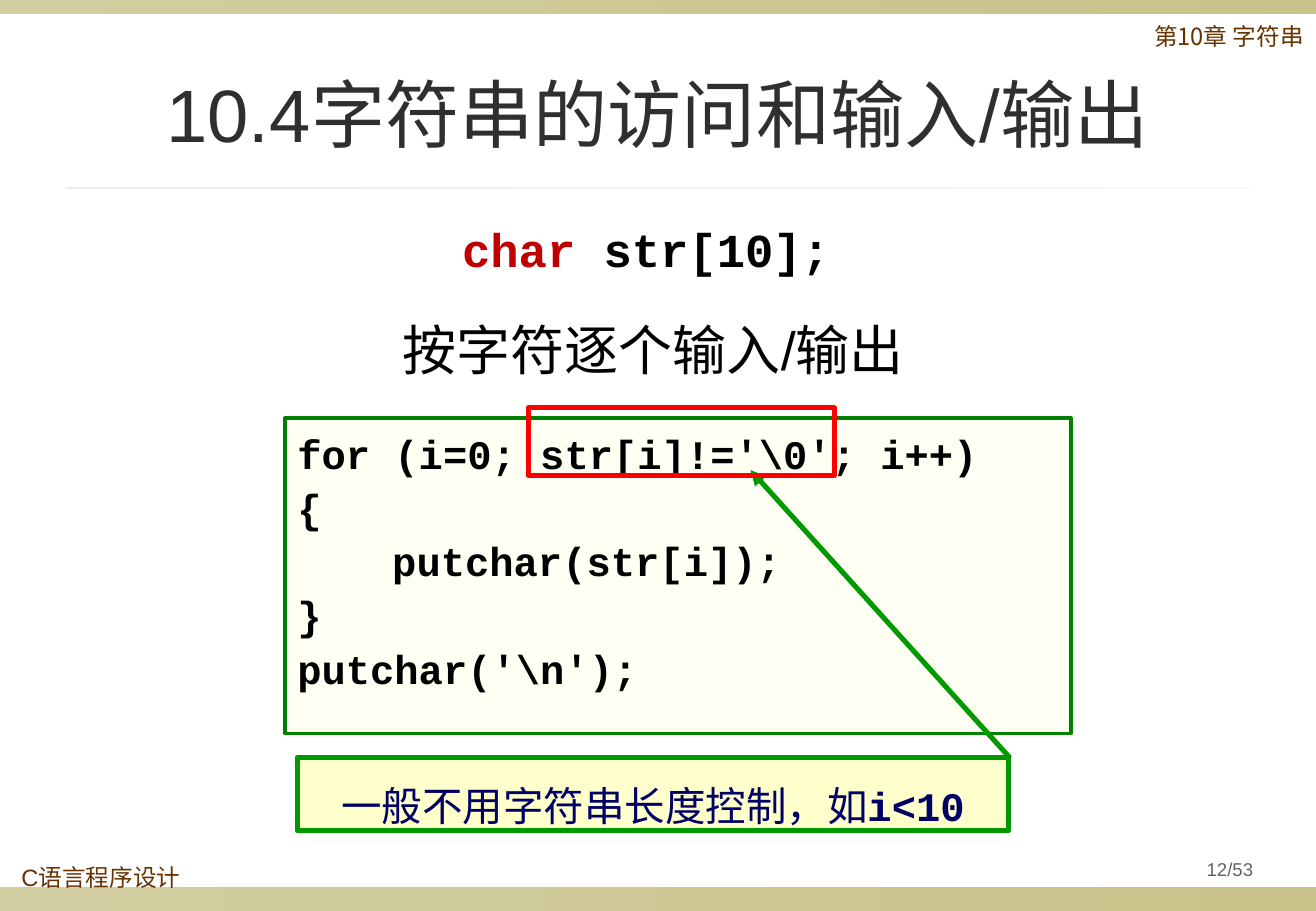
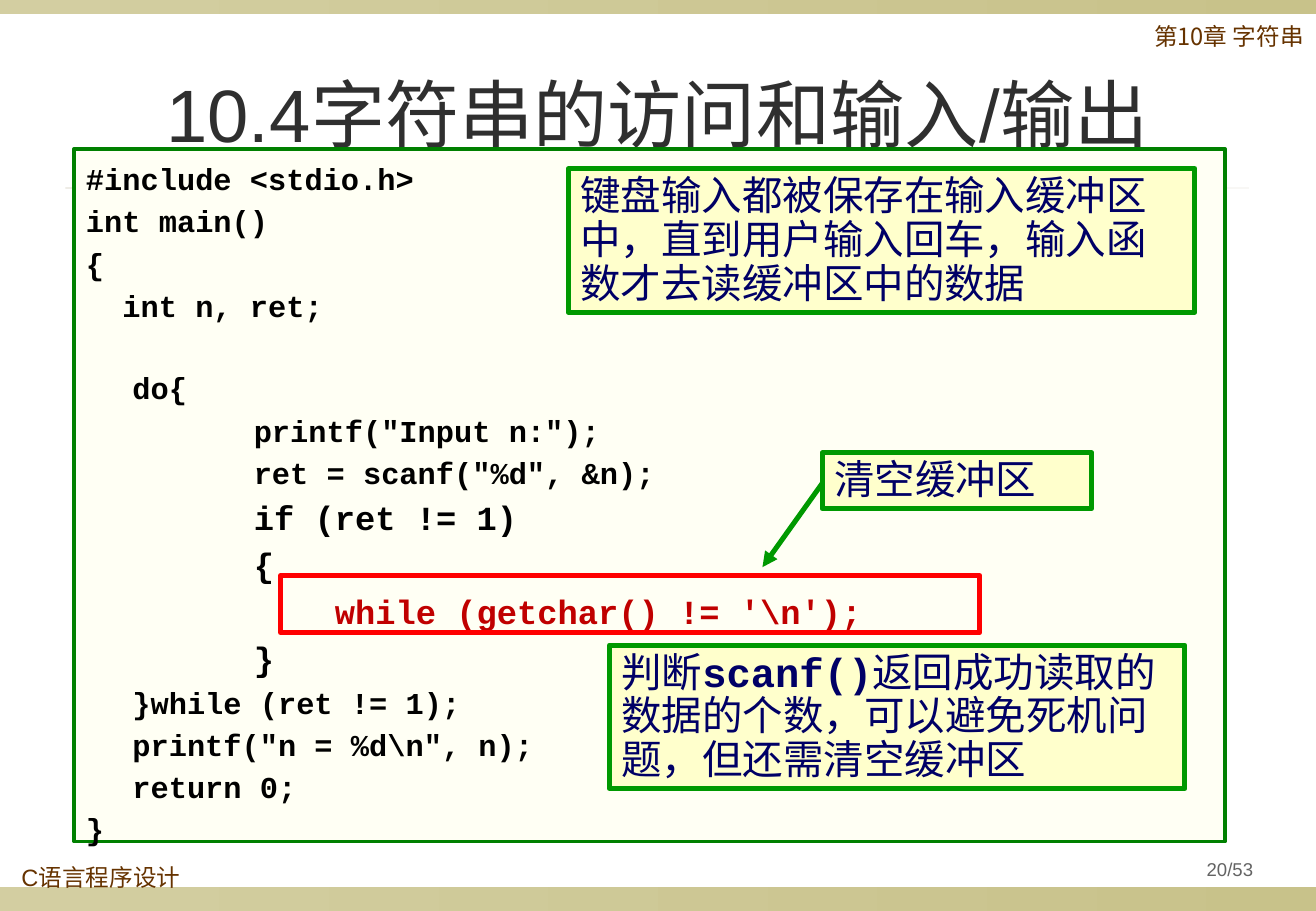
from dataclasses import dataclass
from typing import NamedTuple

from lxml.etree import SubElement
from pptx import Presentation
from pptx.dml.color import RGBColor
from pptx.enum.shapes import MSO_CONNECTOR as Connector, MSO_SHAPE as Preset
from pptx.enum.text import MSO_ANCHOR as Anchor, MSO_AUTO_SIZE as AutoSize, PP_ALIGN as Align
from pptx.oxml.ns import qn
from pptx.util import Cm, Pt

COLORS = {
    "band_left": "D3CEA1", "band_right": "C8C28A",
    "rule_left": "EEECE6", "rule_right": "F8F7F5",
    "title": "2F2F2F", "brown": "663300", "gray": "636363",
    "black": "000000", "keyword": "C00000", "navy": "000066",
    "code_fill": "FFFFF4", "code_line": "008000",
    "note_fill": "FFFFCC", "note_line": "009900", "frame": "FF0000",
}
SANS, MONO, CHINESE = "Arial", "Courier New", "Noto Sans CJK SC"
WIDTH, HEIGHT = 27.53, 19.05
INSET_X, INSET_Y = Cm(0.25), Cm(0.13)
INDENT_1, INDENT_2 = 0.97, 3.51
TITLE = "10.4字符串的访问和输入/输出"
CHAPTER = "第10章 字符串"
COURSE = "C语言程序设计"


class Box(NamedTuple):
    """Left, top, width and height in centimetres."""
    left: float
    top: float
    width: float
    height: float

    def lengths(self) -> list:
        return [Cm(value) for value in self]


class Piece(NamedTuple):
    text: str
    font: str = CHINESE
    bold: bool = False


@dataclass
class Note:
    box: Box
    pieces: list[Piece]
    align: Align = Align.LEFT
    top_inset: float = 0.13
    bottom_inset: float = 0.13


@dataclass
class CodeLine:
    text: str
    indent: float = 0
    size: float = 18
    color: str = "black"
    before: float = 4.5


def rgb(name: str) -> RGBColor:
    return RGBColor.from_string(COLORS[name])


def add_run(paragraph, text: str, *, font: str = SANS, size: float = 24,
            color: str = "black", bold: bool = False) -> None:
    run = paragraph.add_run()
    run.text = text
    run.font.name = font
    run.font.size = Pt(size)
    run.font.bold = bold
    run.font.color.rgb = rgb(color)
    SubElement(run._r.get_or_add_rPr(), qn("a:ea"), typeface=CHINESE)


def prepare_frame(shape, anchor: Anchor = Anchor.TOP, top=INSET_Y, bottom=INSET_Y):
    """Set insets, wrapping and anchor, and return the text frame."""
    frame = shape.text_frame
    frame.auto_size = AutoSize.NONE
    frame.word_wrap = True
    frame.vertical_anchor = anchor
    frame.margin_left = frame.margin_right = INSET_X
    frame.margin_top, frame.margin_bottom = top, bottom
    return frame


def add_label(slide, box: Box, text: str, *, align: Align = Align.LEFT,
              anchor: Anchor = Anchor.TOP, spacing=None, **style) -> None:
    label = slide.shapes.add_textbox(*box.lengths())
    paragraph = prepare_frame(label, anchor).paragraphs[0]
    paragraph.alignment = align
    paragraph.line_spacing = spacing
    add_run(paragraph, text, **style)


def add_outlined(slide, box: Box, line: str, width: float, fill: str | None = None):
    shape = slide.shapes.add_shape(Preset.RECTANGLE, *box.lengths())
    shape.shadow.inherit = False
    if fill:
        shape.fill.solid()
        shape.fill.fore_color.rgb = rgb(fill)
    else:
        shape.fill.background()
    shape.line.color.rgb = rgb(line)
    shape.line.width = Pt(width)
    return shape


def add_gradient_bar(slide, box: Box, kind: str) -> None:
    bar = slide.shapes.add_shape(Preset.RECTANGLE, *box.lengths())
    bar.shadow.inherit = False
    bar.line.fill.background()
    bar.fill.gradient()
    bar.fill.gradient_angle = 0
    for stop, side in zip(bar.fill.gradient_stops, ("left", "right")):
        stop.color.rgb = rgb(f"{kind}_{side}")


def add_code(slide, box: Box, lines: list[CodeLine], spacing: float) -> None:
    """Draw a code box; the gap above the first line goes into its top inset."""
    shape = add_outlined(slide, box, "code_line", 2.25, "code_fill")
    frame = prepare_frame(shape, top=INSET_Y + Pt(lines[0].before))
    for index, line in enumerate(lines):
        paragraph = frame.add_paragraph() if index else frame.paragraphs[0]
        paragraph.alignment = Align.LEFT
        paragraph.line_spacing = spacing
        paragraph.space_before = Pt(line.before if index else 0)
        paragraph._p.get_or_add_pPr().set("marL", str(Cm(line.indent)))
        add_run(paragraph, line.text, font=MONO, size=line.size,
                color=line.color, bold=True)


def add_note(slide, note: Note) -> None:
    shape = add_outlined(slide, note.box, "note_line", 3, "note_fill")
    frame = prepare_frame(shape, top=Cm(note.top_inset), bottom=Cm(note.bottom_inset))
    paragraph = frame.paragraphs[0]
    paragraph.alignment = note.align
    paragraph.line_spacing = Pt(26)
    for piece in note.pieces:
        add_run(paragraph, piece.text, font=piece.font, color="navy", bold=piece.bold)


def add_arrow(slide, start: tuple[float, float], end: tuple[float, float]) -> None:
    ends = [Cm(value) for value in (*start, *end)]
    arrow = slide.shapes.add_connector(Connector.STRAIGHT, *ends)
    arrow.line.color.rgb = rgb("note_line")
    arrow.line.width = Pt(3)
    SubElement(arrow.line._get_or_add_ln(), qn("a:tailEnd"), type="triangle")
    SubElement(arrow._element.spPr, qn("a:effectLst"))


def add_slide(presentation, page: str):
    """Add a slide with the shared bands, title, header and footer."""
    slide = presentation.slides.add_slide(presentation.slide_layouts[5])
    add_gradient_bar(slide, Box(0, 18.54, WIDTH, 0.51), "band")
    add_gradient_bar(slide, Box(0, 0, WIDTH, 0.3), "band")
    add_gradient_bar(slide, Box(1.37, 3.91, 24.77, 0.05), "rule")
    add_label(slide, Box(23.57, 0.33, 3.96, 0.99), CHAPTER, align=Align.RIGHT,
              spacing=Pt(16.5), font=CHINESE, size=14, color="brown")
    add_label(slide, Box(0.2, 17.93, 3.96, 0.81), COURSE,
              spacing=Pt(16.5), size=14, color="brown")
    add_label(slide, Box(24.36, 17.78, 2.74, 0.79), page, align=Align.CENTER,
              anchor=Anchor.MIDDLE, size=11, color="gray")

    title = slide.shapes.title
    title.left, title.top, title.width, title.height = Box(1.37, 0.76, 24.77, 3.18).lengths()
    paragraph = prepare_frame(title, Anchor.MIDDLE).paragraphs[0]
    paragraph.alignment = Align.CENTER
    add_run(paragraph, TITLE, size=44, color="title")
    return slide


def build_character_output(presentation) -> None:
    slide = add_slide(presentation, "12/53")
    add_label(slide, Box(6.83, 6.12, 13.67, 2.34), "按字符逐个输入/输出",
              align=Align.CENTER, anchor=Anchor.MIDDLE, size=32)

    declaration = slide.shapes.add_textbox(*Box(9.42, 4.32, 8.89, 1.8).lengths())
    paragraph = prepare_frame(declaration, top=INSET_Y + Pt(7)).paragraphs[0]
    paragraph.line_spacing = 0.95
    for text, color in (("char", "keyword"), (" str[10];", "black")):
        add_run(paragraph, text, font=MONO, size=28, color=color, bold=True)

    code = [
        ("for (i=0; str[i]!='\\0'; i++)", 0),
        ("{", 0),
        ("  putchar(str[i]);", INDENT_1),
        ("}", 0),
        ("putchar('\\n');", 0),
    ]
    lines = [CodeLine(text, indent, size=24, before=6) for text, indent in code]
    add_code(slide, Box(5.97, 8.74, 16.43, 6.6), lines, spacing=0.9)
    add_arrow(slide, (21.13, 15.85), (15.7, 9.83))
    add_note(slide, Note(
        Box(6.22, 15.85, 14.88, 1.52),
        [Piece("一般不用字符串长度控制，如"), Piece("i<10", MONO, True)],
        Align.CENTER, top_inset=0.58, bottom_inset=0))
    add_outlined(slide, Box(11.05, 8.53, 6.4, 1.42), "frame", 3)


def build_buffer_clearing(presentation) -> None:
    slide = add_slide(presentation, "20/53")
    large = {"size": 20, "before": 5}
    lines = [
        CodeLine("#include <stdio.h>"),
        CodeLine("int main()"),
        CodeLine("{"),
        CodeLine("  int n, ret;"),
        CodeLine("do{", INDENT_1, before=28.4),
        CodeLine('printf("Input n:");', INDENT_2),
        CodeLine('ret = scanf("%d", &n);', INDENT_2),
        CodeLine("if (ret != 1)", INDENT_2, **large),
        CodeLine("{", INDENT_2, **large),
        CodeLine("    while (getchar() != '\\n');", INDENT_2, color="keyword", **large),
        CodeLine("}", INDENT_2, **large),
        CodeLine("}while (ret != 1);", INDENT_1),
        CodeLine('printf("n = %d\\n", n);', INDENT_1),
        CodeLine("return 0;", INDENT_1),
        CodeLine("}"),
    ]
    add_code(slide, Box(1.55, 3.12, 24.08, 14.48), lines, spacing=0.95)
    add_outlined(slide, Box(5.87, 12.04, 14.63, 1.19), "frame", 3)
    add_arrow(slide, (17.22, 10.08), (15.95, 11.86))
    notes = [
        Note(Box(17.2, 9.47, 5.64, 1.17), [Piece("清空缓冲区")]),
        Note(Box(11.89, 3.53, 13.11, 3), [
            Piece("键盘输入都被保存在输入缓冲区中，直到用户输入回车，输入函数才去读缓冲区中的数据")]),
        Note(Box(12.75, 13.49, 12.04, 3), [
            Piece("判断"), Piece("scanf()", MONO, True),
            Piece("返回成功读取的数据的个数，可以避免死机问题，但还需清空缓冲区")]),
    ]
    for note in notes:
        add_note(slide, note)


def main() -> None:
    presentation = Presentation()
    presentation.slide_width, presentation.slide_height = Cm(WIDTH), Cm(HEIGHT)
    build_character_output(presentation)
    build_buffer_clearing(presentation)
    presentation.save("out.pptx")


if __name__ == "__main__":
    main()
